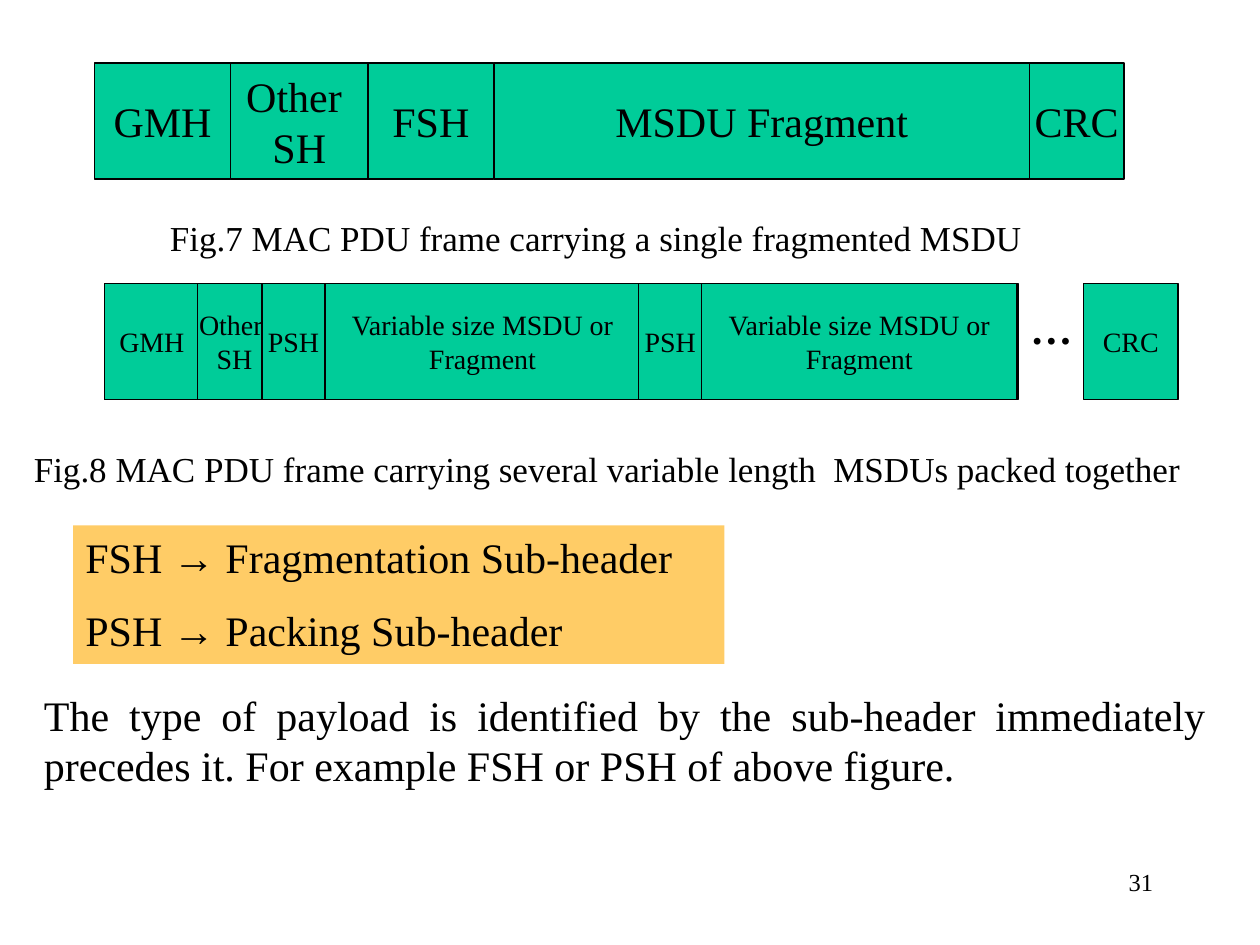
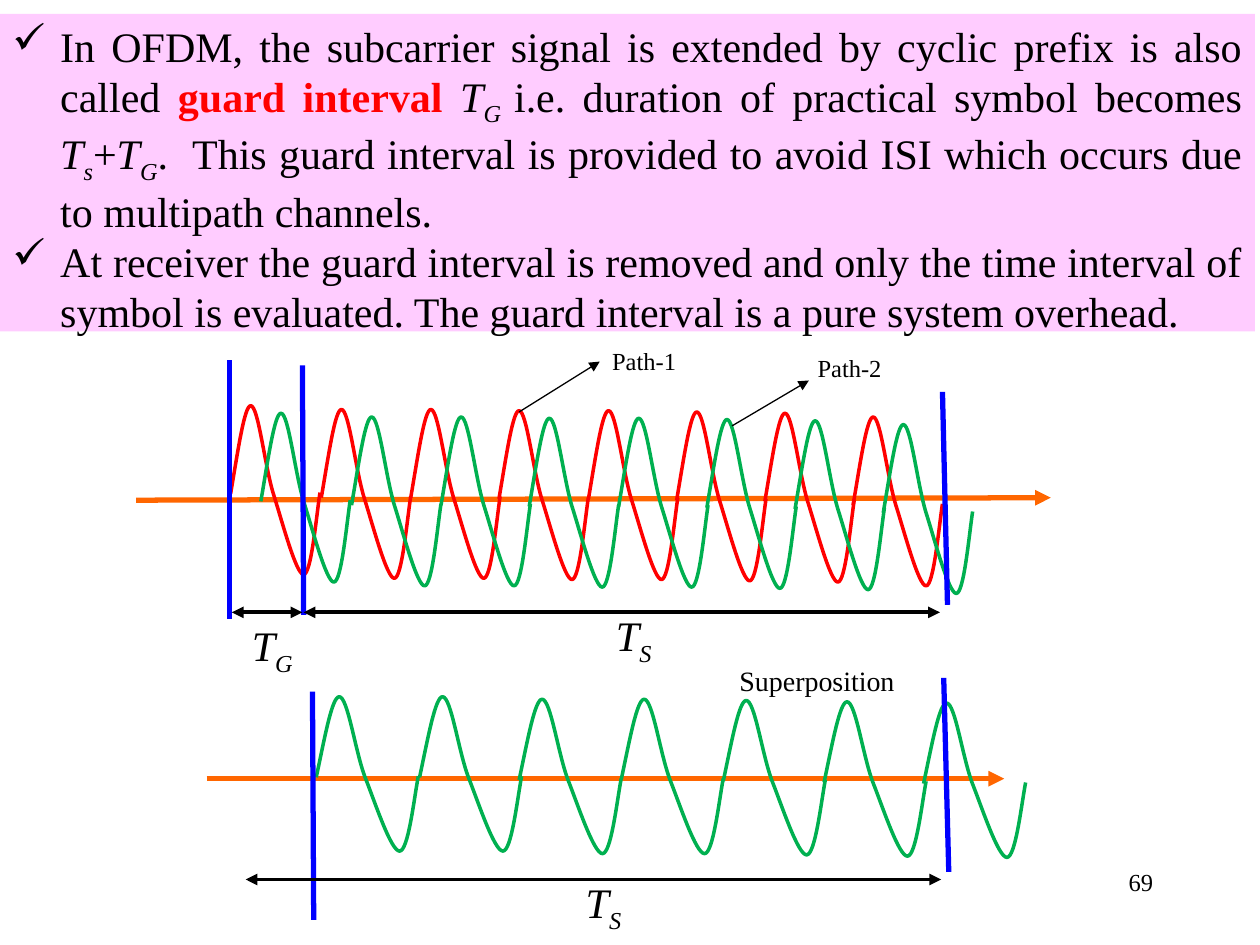
from dataclasses import dataclass

from lxml import etree
from pptx import Presentation, util as u
from pptx.dml.color import RGBColor
from pptx.enum import shapes, text
from pptx.oxml.ns import qn

PX = 9144  # 100 px to the inch


@dataclass(frozen=True)
class Theme:
    face: str = "Times New Roman"
    ink: str = "000000"
    cell: str = "00CC99"
    gold: str = "FFCC66"
    pink: str = "FFCCFF"
    red: str = "FF0000"
    green: str = "00B050"
    blue: str = "0000FF"
    axis: str = "FF6600"
    big: int = 24
    mid: int = 20
    small: int = 16
    note: int = 14
    gap: int = 13


T = Theme()
ALIGN = {"l": text.PP_ALIGN.LEFT, "c": text.PP_ALIGN.CENTER,
         "r": text.PP_ALIGN.RIGHT, "j": text.PP_ALIGN.JUSTIFY}

# One wave period as Bezier points, relative to its start
WAVE = [(0, 0), (6, -35), (11, -70), (16, -70), (22, -70), (27, -23), (34, 0),
        (41, 22), (52, 64), (58, 64), (64, 64), (68, 19), (71, -1)]


def rgb(code):
    return RGBColor.from_string(code)


def write(frame, paras, size=T.big, align="l", wrap=True, gap=0, bullet=None, bold=False):
    """Fill a frame; a paragraph is a string or a list of (string, style) runs.
    Style letters: i italic, s subscript, r red and bold."""
    frame.word_wrap = wrap
    for n, para in enumerate(paras):
        p = frame.paragraphs[0] if n == 0 else frame.add_paragraph()
        p.alignment = ALIGN[align]
        if n and gap:
            p.space_before = u.Pt(gap)
        if bullet:
            props = p._p.get_or_add_pPr()
            props.set("marL", str(38 * PX))
            props.set("indent", str(-38 * PX))
            etree.SubElement(props, qn("a:buChar")).set("char", bullet)
        for words, style in [(para, "")] if isinstance(para, str) else para:
            run = p.add_run()
            run.text = words
            font = run.font
            font.name, font.size = T.face, u.Pt(size)
            font.bold = bold or "r" in style
            font.italic = "i" in style
            font.color.rgb = rgb(T.red if "r" in style else T.ink)
            if "s" in style:
                run._r.get_or_add_rPr().set("baseline", "-25000")


class Deck:
    def __init__(self):
        self.prs = Presentation()
        self.prs.slide_width, self.prs.slide_height = 1000 * PX, 750 * PX
        self.draw = None

    def page(self, number):
        slide = self.prs.slides.add_slide(self.prs.slide_layouts[6])
        self.draw = slide.shapes
        self.label((717, 683, 208, 50), [number], size=T.note, align="r")

    def label(self, area, paras, fill=None, **style):
        box = self.draw.add_textbox(*(v * PX for v in area))
        if fill:
            box.fill.solid()
            box.fill.fore_color.rgb = rgb(fill)
        write(box.text_frame, paras, **style)

    def cell(self, area, paras=(), size=T.big):
        box = self.draw.add_shape(shapes.MSO_SHAPE.RECTANGLE, *(v * PX for v in area))
        box.shadow.inherit = False
        box.fill.solid()
        box.fill.fore_color.rgb = rgb(T.cell)
        box.line.color.rgb, box.line.width = rgb(T.ink), u.Pt(0.75)
        box.text_frame.vertical_anchor = text.MSO_ANCHOR.MIDDLE
        write(box.text_frame, paras, size=size, align="c", wrap=False)

    def row(self, top, cells, size):
        for left, width, words in cells:
            self.cell((left, top, width, 92), words.split("\n"), size)

    def line(self, ends, color=T.ink, width=2.25, heads=""):
        """Draw a line; heads names the ends that carry an arrowhead."""
        link = self.draw.add_connector(shapes.MSO_CONNECTOR.STRAIGHT, *(v * PX for v in ends))
        link.line.color.rgb, link.line.width = rgb(color), u.Pt(width)
        for end in heads.split():
            etree.SubElement(link.line._get_or_add_ln(), qn(f"a:{end}End")).set("type", "triangle")
        etree.SubElement(link._element.spPr, qn("a:effectLst"))

    def wave(self, left, top, color, wide=1, tall=1):
        pts = [((left + x * wide) * PX, (top + y * tall) * PX) for x, y in WAVE]
        pen = self.draw.build_freeform(*pts[0])
        pen.add_line_segments(pts[1:], close=False)
        curve = pen.convert_to_shape()
        curve.shadow.inherit = False
        curve.fill.background()
        curve.line.color.rgb, curve.line.width = rgb(color), u.Pt(2)
        # Turn every three straight segments into one Bezier segment
        track = curve._element.find(".//" + qn("a:path"))
        steps = track.findall(qn("a:lnTo"))
        for n in range(0, len(steps), 3):
            bend = etree.SubElement(track, qn("a:cubicBezTo"))
            for step in steps[n:n + 3]:
                bend.append(step[0])
                track.remove(step)


def frames(deck):
    deck.page("31")
    # Single fragment frame
    deck.row(50, [(75, 108, "GMH"), (183, 109, "Other \nSH"), (292, 100, "FSH"),
                  (392, 425, "MSDU Fragment"), (817, 75, "CRC")], T.big)
    deck.label((125, 167, 708, 43), ["Fig.7 MAC PDU frame carrying a single fragmented MSDU"],
               size=T.mid)
    # Packed frame
    load = "Variable size MSDU or\nFragment"
    deck.cell((83, 225, 725, 92))
    deck.row(225, [(83, 75, "GMH"), (157, 58, "Other \nSH"), (208, 50, "PSH"), (258, 250, load),
                   (507, 50, "PSH"), (557, 250, load), (860, 75, "CRC")], T.small)
    deck.label((808, 235, 83, 50), ["…"], bold=True)
    deck.label((17, 350, 950, 43),
               ["Fig.8 MAC PDU frame carrying several variable length  MSDUs packed together"],
               size=T.mid)
    # Key and remark
    deck.label((58, 417, 517, 110),
               ["FSH → Fragmentation Sub-header", "PSH → Packing Sub-header"],
               fill=T.gold, gap=T.gap)
    deck.label((25, 542, 942, 91),
               ["The type of payload is identified by the sub-header immediately precedes it. "
                "For example FSH or PSH of above figure."], align="j")


def guard(deck):
    deck.page("69")
    deck.label((0, 11, 996, 252), [
        [("In OFDM, the subcarrier signal is extended by cyclic prefix is also called ", ""),
         ("guard interval ", "r"), ("T", "i"), ("G ", "is"),
         ("i.e. duration of practical symbol becomes ", ""),
         ("T", "i"), ("s", "is"), ("+", ""), ("T", "i"), ("G", "is"),
         (".  This guard interval is provided to avoid ISI which occurs due to "
          "multipath channels.", "")],
        "At receiver the guard interval is removed and only the time interval of symbol is "
        "evaluated. The guard interval is a pure system overhead.",
    ], fill=T.pink, align="j", bullet="✓")

    # Two delayed paths
    deck.line((108, 397, 834, 395), T.axis, 3, "tail")
    starts = [(183, 392), (255, 395), (326, 395), (396, 396),
              (467, 396), (537, 397), (607, 398), (677, 401)]
    for color, dx, dy in [(T.red, 0, 0), (T.green, 24, 6)]:
        for x, y in starts:
            deck.wave(x + dx, y + dy, color)
    # Their sum
    deck.line((164, 618, 797, 618), T.axis, 3, "tail")
    for x, y in [(251, 617), (333, 617), (412, 619), (493, 619),
                 (574, 620), (654, 621), (733, 622)]:
        deck.wave(x, y, T.green, 81 / 71, 64 / 70)

    # Interval limits
    for ends in [(182, 286, 182, 491), (240, 290, 241, 488), (748, 311, 752, 480),
                 (248, 549, 249, 730), (749, 538, 753, 692)]:
        deck.line(ends, T.blue, 3)
    # Interval spans
    for left, right, y in [(184, 240, 486), (241, 746, 486), (195, 747, 698)]:
        deck.line((left, y, right, y), heads="head tail")
    for left, top, sub in [(479, 479, "S"), (190, 487, "G"), (455, 691, "S")]:
        deck.label((left, top, 63, 42), [[("T", "i"), (sub, "is")]])

    # Callouts
    for ends, left, top, name in [((412, 327, 476, 287), 476, 270, "Path-1"),
                                  ((581, 338, 642, 302), 639, 275, "Path-2")]:
        deck.line(ends, width=0.75, heads="tail")
        deck.label((left, top, 76, 34), [name], size=T.note)
    deck.label((577, 522, 162, 37), ["Superposition"], size=T.small)


def main():
    deck = Deck()
    frames(deck)
    guard(deck)
    deck.prs.save("out.pptx")


if __name__ == "__main__":
    main()
